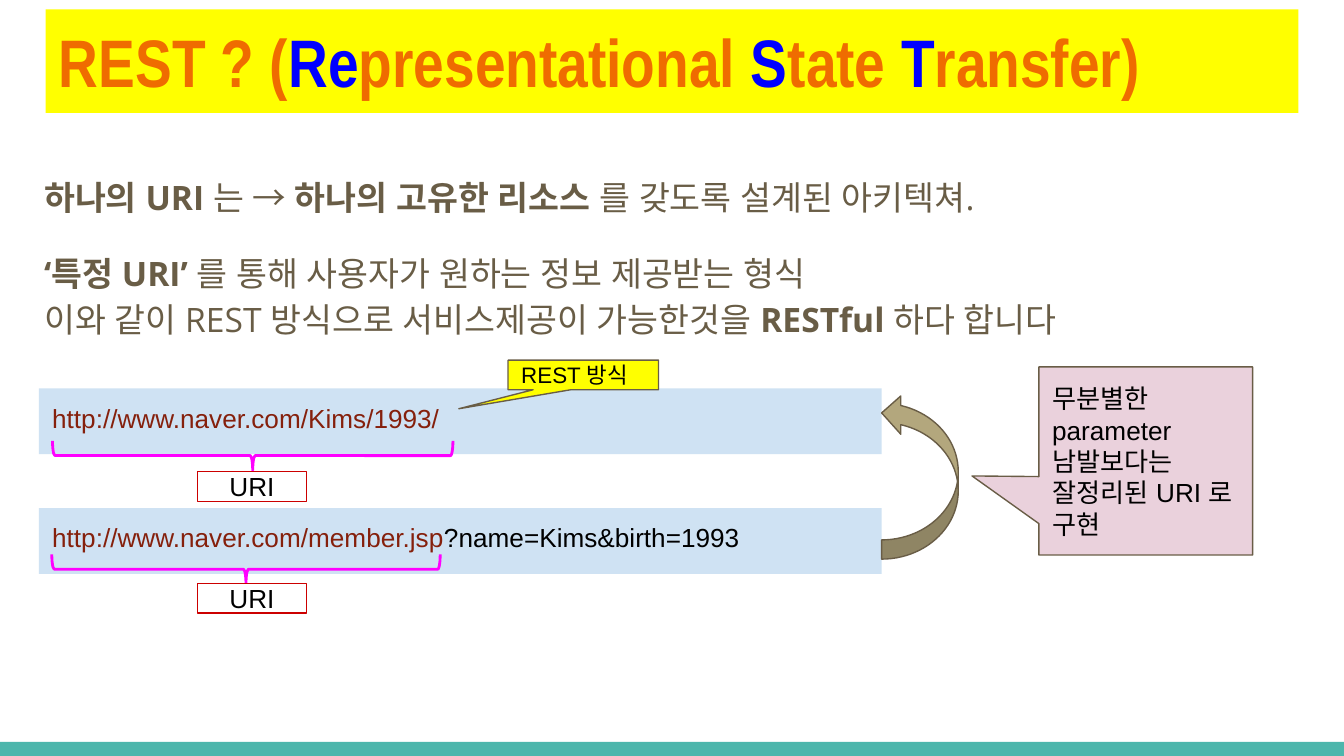
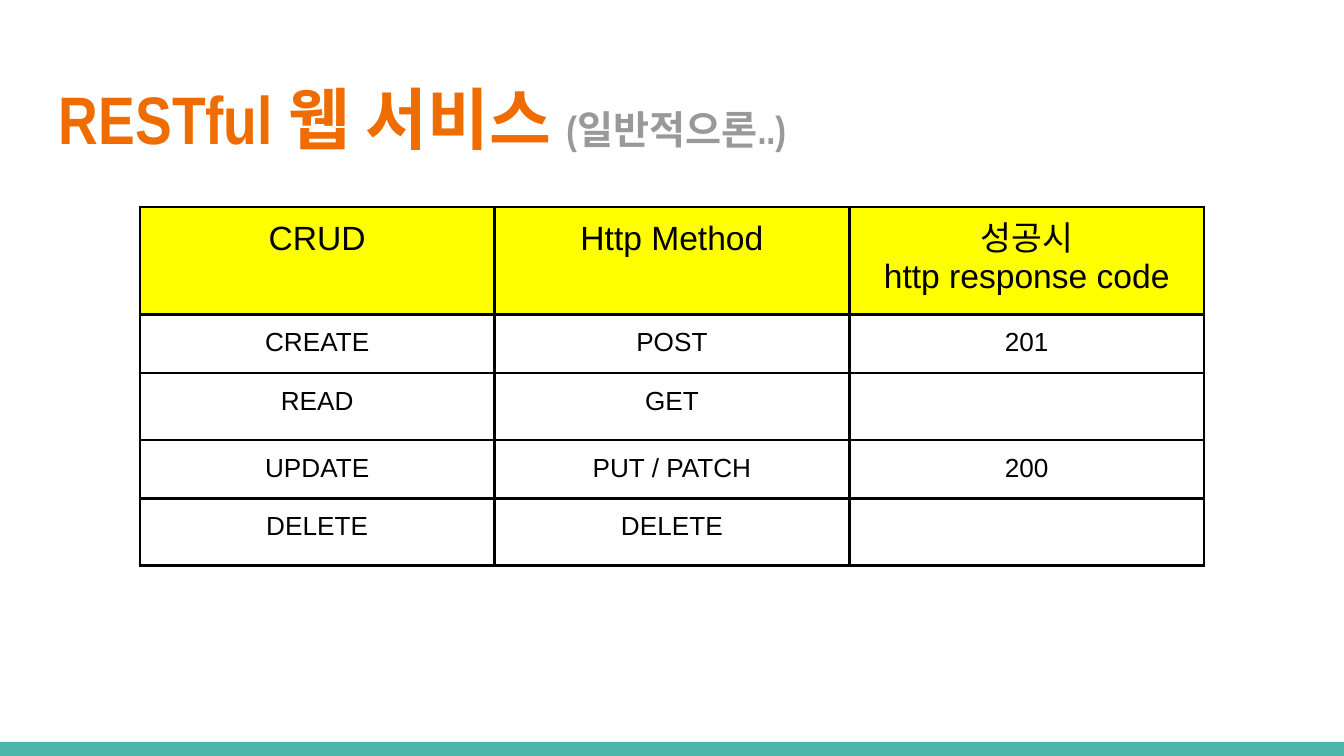
from lxml import etree
from pptx import Presentation
from pptx.dml.color import RGBColor
from pptx.enum.shapes import MSO_SHAPE
from pptx.enum.text import MSO_ANCHOR, PP_ALIGN
from pptx.oxml.ns import qn
from pptx.util import Pt

EMU_PER_PX = 9144
SLIDE_WIDTH = 1000 * EMU_PER_PX
SLIDE_HEIGHT = SLIDE_WIDTH * 9 // 16
INSET = 10

RECTANGLE = MSO_SHAPE.RECTANGLE
RIGHT_BRACE = MSO_SHAPE.RIGHT_BRACE
CURVED_ARROW = MSO_SHAPE.CURVED_RIGHT_ARROW
SQUARE_CALLOUT = MSO_SHAPE.RECTANGULAR_CALLOUT
ROUND_CALLOUT = MSO_SHAPE.ROUNDED_RECTANGULAR_CALLOUT
TOP, MIDDLE = MSO_ANCHOR.TOP, MSO_ANCHOR.MIDDLE
LEFT, CENTER = PP_ALIGN.LEFT, PP_ALIGN.CENTER

COLORS = {
    "teal": "4DB6AC", "yellow": "FFFF00", "orange": "EF6C00", "blue": "0000FF",
    "brown": "695D46", "sky": "CFE2F3", "maroon": "85200C", "black": "000000",
    "khaki": "B3A77D", "pink": "EAD1DC", "magenta": "FF00FF", "white": "FFFFFF",
    "red": "CC0000", "gray": "999999",
}
TITLE_FONT, BODY_FONT, LABEL_FONT = "Arial Narrow", "Open Sans", "Arial"


def px(length):
    """Turn whole pixels into EMU."""
    return length * EMU_PER_PX


def rgb(name):
    """Look up a named colour."""
    return RGBColor.from_string(COLORS[name])


def style_run(run, font_name, size, color, bold=False):
    """Format one run, for Latin and East Asian letters alike."""
    run.font.name = font_name
    run.font.size = Pt(size)
    run.font.bold = bold
    run.font.color.rgb = rgb(color)
    for tag in ("a:ea", "a:cs"):
        etree.SubElement(run.font._element, qn(tag)).set("typeface", font_name)


def add_text(paragraph, text, *style):
    """Append a formatted run to a paragraph."""
    run = paragraph.add_run()
    run.text = text
    style_run(run, *style)


def prepare_frame(text_frame, anchor):
    """Give a text frame the shared insets, wrapping and anchor."""
    text_frame.word_wrap = True
    text_frame.vertical_anchor = anchor
    text_frame.margin_left = text_frame.margin_right = px(INSET)
    text_frame.margin_top = text_frame.margin_bottom = px(INSET)


def add_shape(slide, kind, box, fill=None, line=None, width=0.75, rotation=0, adjustments=()):
    """Add a flat preset shape."""
    shape = slide.shapes.add_shape(kind, *map(px, box))
    shape.shadow.inherit = False
    shape.rotation = rotation
    for index, value in enumerate(adjustments):
        shape.adjustments[index] = value
    if fill:
        shape.fill.solid()
        shape.fill.fore_color.rgb = rgb(fill)
    else:
        shape.fill.background()
    if line:
        shape.line.color.rgb = rgb(line)
        shape.line.width = Pt(width)
    else:
        shape.line.fill.background()
    return shape


def write_label(shape, parts, size, anchor=MIDDLE, alignment=LEFT):
    """Write (text, colour) parts as one line of label text."""
    prepare_frame(shape.text_frame, anchor)
    paragraph = shape.text_frame.paragraphs[0]
    paragraph.alignment = alignment
    for text, color in parts:
        add_text(paragraph, text, LABEL_FONT, size, color)


def add_base_slide(presentation):
    """Add a blank slide with the teal band at its foot."""
    slide = presentation.slides.add_slide(presentation.slide_layouts[6])
    add_shape(slide, RECTANGLE, (0, 552, 1000, 11), "teal")
    return slide


def add_title(slide, top, parts, fill=None):
    """Add the title bar from (text, size, colour) parts."""
    bar = add_shape(slide, RECTANGLE, (34, top, 932, 77), fill)
    prepare_frame(bar.text_frame, MIDDLE)
    paragraph = bar.text_frame.paragraphs[0]
    paragraph.alignment = LEFT
    for text, size, color in parts:
        add_text(paragraph, text, TITLE_FONT, size, color, True)


def add_definition(slide, box, paragraphs):
    """Add the definition, each paragraph a list of lines of (text, bold) parts."""
    text_frame = slide.shapes.add_textbox(*map(px, box)).text_frame
    prepare_frame(text_frame, TOP)
    for index, lines in enumerate(paragraphs):
        paragraph = text_frame.add_paragraph() if index else text_frame.paragraphs[0]
        paragraph.line_spacing = 1.15
        if index:
            paragraph.space_before = paragraph.space_after = Pt(16)
        for line_index, parts in enumerate(lines):
            if line_index:
                paragraph.add_line_break()
            for text, bold in parts:
                add_text(paragraph, text, BODY_FONT, 18, "brown", bold)


def add_address(slide, left, top, parts):
    """Add one address strip."""
    strip = add_shape(slide, RECTANGLE, (left, top, 627, 49), "sky")
    write_label(strip, parts, 14, TOP)


def add_uri_mark(slide, left, top, span, label_top):
    """Add a brace spanning an address and the URI label below it."""
    depth = 22
    shift = (span - depth) // 2
    add_shape(slide, RIGHT_BRACE, (left + shift, top - shift, depth, span),
              line="magenta", width=1.5, rotation=90, adjustments=(0.083, 0.5))
    label = add_shape(slide, RECTANGLE, (147, label_top, 81, 22), "white", "red")
    write_label(label, [("URI", "black")], 14, alignment=CENTER)


def add_comparison(slide, left, top):
    """Compare the two address styles with arrow and callouts."""
    add_address(slide, left, top, [("http://www.naver.com/Kims/1993/", "maroon")])
    add_address(slide, left, top + 89, [("http://www.naver.com/member.jsp", "maroon"),
                                        ("?name=Kims&birth=1993", "black")])
    add_shape(slide, CURVED_ARROW, (left + 627, top + 4, 57, 123), "khaki", "brown",
              rotation=180, adjustments=(0.25, 0.5, 0.25))
    advice = add_shape(slide, SQUARE_CALLOUT, (left + 744, top - 16, 159, 140), "pink", "brown",
                       adjustments=(-0.813, 0.08))
    write_label(advice, [("무분별한 parameter 남발보다는 잘정리된 URI 로 구현", "black")], 14)
    add_uri_mark(slide, left + 10, top + 39, 298, top + 62)
    add_uri_mark(slide, left + 10, top + 123, 289, top + 145)
    style_tag = add_shape(slide, ROUND_CALLOUT, (left + 349, top - 21, 112, 22), "yellow", "brown",
                          adjustments=(-0.827, 1.144, 0))
    write_label(style_tag, [("REST 방식", "black")], 12)


def add_cell_borders(cell):
    """Draw black lines on all four sides of a cell."""
    properties = cell._tc.get_or_add_tcPr()
    for index, tag in enumerate(("a:lnL", "a:lnR", "a:lnT", "a:lnB")):
        border = etree.Element(qn(tag), w=str(Pt(1.5)))
        fill = etree.SubElement(border, qn("a:solidFill"))
        etree.SubElement(fill, qn("a:srgbClr")).set("val", COLORS["black"])
        properties.insert(index, border)


def add_method_table(slide, left, top, rows):
    """Add the bordered table with a yellow heading row."""
    column_width, heading_height, row_height = 264, 42, 43
    height = heading_height + row_height * (len(rows) - 1)
    table = slide.shapes.add_table(len(rows), len(rows[0]), px(left), px(top),
                                   px(column_width * len(rows[0])), px(height)).table
    for column in table.columns:
        column.width = px(column_width)
    for row_index, values in enumerate(rows):
        heading = row_index == 0
        table.rows[row_index].height = px(row_height if row_index else heading_height)
        for column_index, value in enumerate(values):
            cell = table.cell(row_index, column_index)
            cell.margin_left = cell.margin_right = px(INSET)
            cell.margin_top = cell.margin_bottom = px(INSET)
            if heading:
                cell.fill.solid()
                cell.fill.fore_color.rgb = rgb("yellow")
            else:
                cell.fill.background()
            add_cell_borders(cell)
            if not value:
                continue
            cell.text_frame.text = value
            for paragraph in cell.text_frame.paragraphs:
                paragraph.alignment = CENTER
                for run in paragraph.runs:
                    style_run(run, LABEL_FONT, 18 if heading else 14, "black")


def build_rest_slide(presentation):
    """Build the slide that defines REST."""
    slide = add_base_slide(presentation)
    add_title(slide, 7, [
        ("REST ? (", 36, "orange"), ("Re", 36, "blue"), ("presentational ", 36, "orange"),
        ("S", 36, "blue"), ("tate ", 36, "orange"), ("T", 36, "blue"), ("ransfer)", 36, "orange"),
    ], "yellow")
    add_definition(slide, (23, 117, 932, 151), [
        [[("하나의 URI", True), (" 는 → ", False), ("하나의 고유한 리소스 ", True),
          ("를 갖도록 설계된 아키텍쳐.", False)]],
        [[("‘특정 URI’", True), (" 를 통해 사용자가 원하는 정보 제공받는 형식", False)],
         [("이와 같이 REST 방식으로 서비스제공이 가능한것을 ", False), ("RESTful", True),
          (" 하다 합니다", False)]],
    ])
    add_comparison(slide, 29, 289)


def build_service_slide(presentation):
    """Build the slide that maps CRUD to HTTP methods."""
    slide = add_base_slide(presentation)
    add_title(slide, 49, [("RESTful 웹 서비스 ", 36, "orange"), ("(일반적으론..)", 21, "gray")])
    add_method_table(slide, 104, 154, [
        ("CRUD", "Http Method", "성공시\nhttp response code"),
        ("CREATE", "POST", "201"),
        ("READ", "GET", ""),
        ("UPDATE", "PUT / PATCH", "200"),
        ("DELETE", "DELETE", ""),
    ])


def main():
    """Build and save the presentation."""
    presentation = Presentation()
    presentation.slide_width = SLIDE_WIDTH
    presentation.slide_height = SLIDE_HEIGHT
    build_rest_slide(presentation)
    build_service_slide(presentation)
    presentation.save("out.pptx")


if __name__ == "__main__":
    main()
